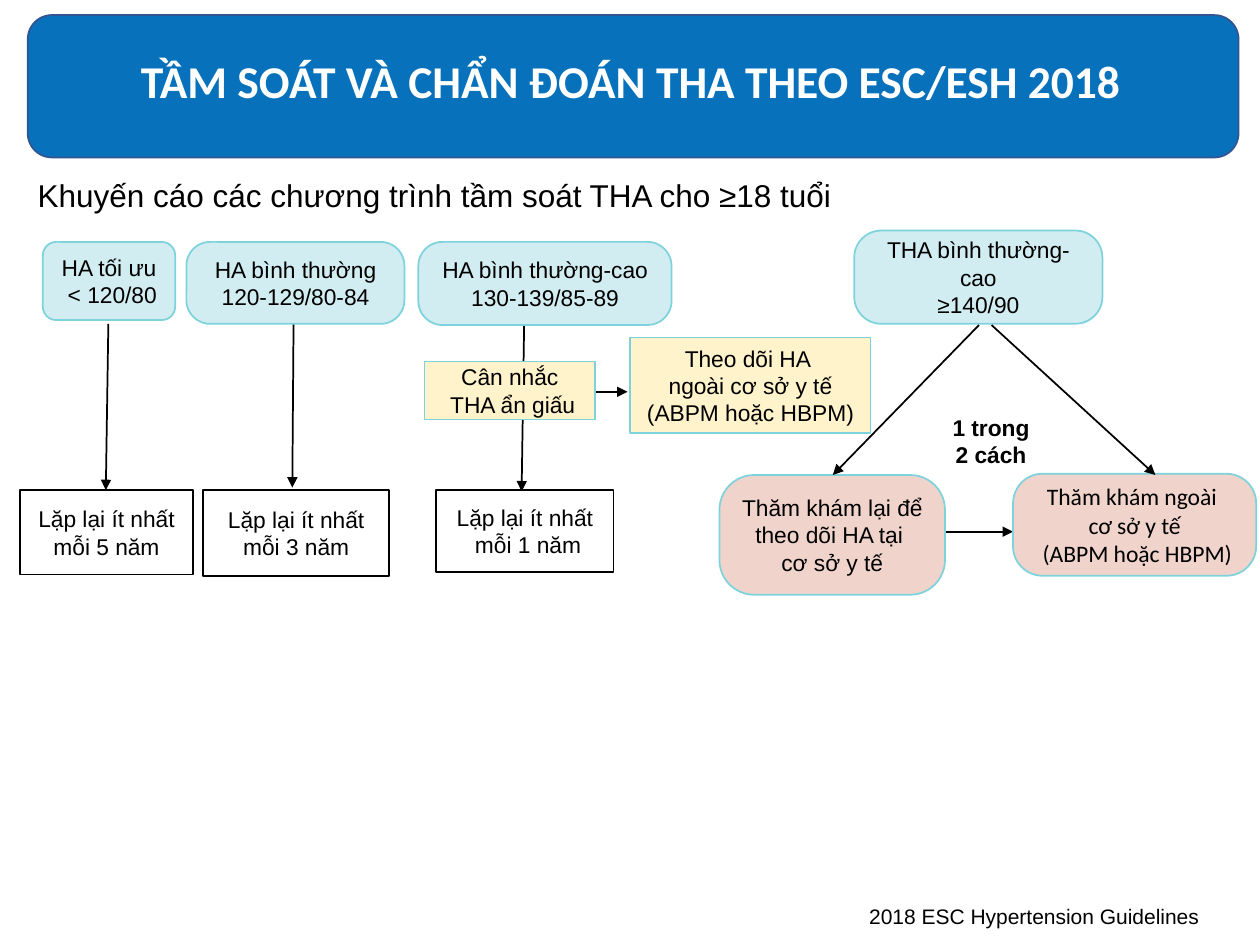
from pptx import Presentation
from pptx.util import Inches, Pt
from pptx.dml.color import RGBColor
from pptx.enum.shapes import MSO_CONNECTOR, MSO_SHAPE
from pptx.enum.text import MSO_ANCHOR, PP_ALIGN
from pptx.oxml.ns import qn
from lxml import etree

STRAIGHT = MSO_CONNECTOR.STRAIGHT
ROUND = MSO_SHAPE.ROUNDED_RECTANGLE
RECT = MSO_SHAPE.RECTANGLE
MIDDLE = MSO_ANCHOR.MIDDLE
TOP = MSO_ANCHOR.TOP
CENTER = PP_ALIGN.CENTER
LEFT = PP_ALIGN.LEFT

COLORS = {
    "black": "000000", "white": "FFFFFF", "aqua": "D2EDF1", "teal": "7ED2DC",
    "cream": "FFF3CB", "rose": "F0D4CC", "blue": "0772BB", "navy": "325491",
}
CURVE = 0.29


def color(name):
    return RGBColor.from_string(COLORS[name])


def write(shape, lines, size=13, font="Arial", ink="black", bold=False,
          align=CENTER, anchor=MIDDLE, space=None):
    frame = shape.text_frame
    frame.word_wrap = True
    frame.vertical_anchor = anchor
    for i, line in enumerate(lines):
        para = frame.paragraphs[0] if i == 0 else frame.add_paragraph()
        para.alignment = align
        if space:
            para.line_spacing = space
        run = para.add_run()
        run.text = line
        run.font.size = Pt(size)
        run.font.name = font
        run.font.bold = bold
        run.font.color.rgb = color(ink)


def add_box(slide, place, lines, fill, edge=None, curve=0, **style):
    kind = ROUND if curve else RECT
    shape = slide.shapes.add_shape(kind, *map(Inches, place))
    shape.shadow.inherit = False
    if curve:
        shape.adjustments[0] = curve
    shape.fill.solid()
    shape.fill.fore_color.rgb = color(fill)
    if edge:
        shape.line.color.rgb = color(edge)
        shape.line.width = Pt(1)
    else:
        shape.line.fill.background()
    write(shape, lines, **style)
    return shape


def add_label(slide, place, text, **style):
    label = slide.shapes.add_textbox(*map(Inches, place))
    write(label, [text], **style)


def add_arrow(slide, *ends):
    arrow = slide.shapes.add_connector(STRAIGHT, *map(Inches, ends))
    arrow.line.color.rgb = color("black")
    arrow.line.width = Pt(1)
    line = arrow.line._get_or_add_ln()
    etree.SubElement(line, qn("a:tailEnd"), type="triangle")
    etree.SubElement(arrow._element.spPr, qn("a:effectLst"))


def add_steps(slide):
    for ends in [
        (7.33, 4.22, 8.04, 4.22),
        (4.67, 3.11, 4.98, 3.11),
        (0.86, 2.57, 0.84, 3.89),
        (2.33, 2.54, 2.32, 3.87),
        (4.16, 2.57, 4.14, 3.9),
    ]:
        add_arrow(slide, *ends)

    for place, lines, curve in [
        ((0.34, 1.92, 1.05, 0.62), ["HA tối ưu", " < 120/80"], 0.17),
        ((1.48, 1.92, 1.73, 0.65), ["HA bình thường", "120-129/80-84"], CURVE),
        ((3.32, 1.92, 2.01, 0.66), ["HA bình thường-cao", "130-139/85-89"], CURVE),
        ((6.78, 1.83, 1.97, 0.74), ["THA bình thường-cao", "≥140/90"], CURVE),
    ]:
        add_box(slide, place, lines, "aqua", "teal", curve)

    for place, lines in [
        ((0.16, 3.89, 1.37, 0.67), ["Lặp lại ít nhất mỗi 5 năm"]),
        ((1.61, 3.89, 1.48, 0.68), ["Lặp lại ít nhất mỗi 3 năm"]),
        ((3.46, 3.89, 1.41, 0.65), ["Lặp lại ít nhất", " mỗi 1 năm"]),
    ]:
        add_box(slide, place, lines, "white", "black")

    for place, lines in [
        ((3.37, 2.87, 1.35, 0.46), ["Cân nhắc", " THA ẩn giấu"]),
        ((5, 2.68, 1.91, 0.76),
         ["Theo dõi HA ", "ngoài cơ sở y tế", "(ABPM hoặc HBPM)"]),
    ]:
        add_box(slide, place, lines, "cream", "teal")


def add_visits(slide):
    add_box(slide, (5.71, 3.77, 1.79, 0.95),
            ["Thăm khám lại để theo dõi HA tại ", "cơ sở y tế"],
            "rose", "teal", CURVE)
    home = add_box(slide, (8.04, 3.76, 1.93, 0.81),
                   ["Thăm khám ngoài ", "cơ sở y tế", " (ABPM hoặc HBPM)"],
                   "rose", "teal", CURVE, size=13.5, font="Calibri")
    frame = home.text_frame
    frame.margin_left = frame.margin_right = Inches(0.07)
    frame.margin_top = frame.margin_bottom = Inches(0.04)
    add_arrow(slide, 7.87, 2.58, 9.17, 3.77)
    add_arrow(slide, 7.77, 2.58, 6.61, 3.77)
    add_box(slide, (7.45, 3.29, 0.83, 0.42), ["1 trong 2 cách"],
            "white", bold=True)


def main():
    deck = Presentation()
    deck.slide_width, deck.slide_height = Inches(10), Inches(7.5)
    slide = deck.slides.add_slide(deck.slide_layouts[6])

    add_label(slide, (0.2, 1.35, 6.98, 0.4),
              "Khuyến cáo các chương trình tầm soát THA cho ≥18 tuổi",
              size=18, align=LEFT, anchor=TOP)
    add_steps(slide)
    add_visits(slide)
    add_box(slide, (0.22, 0.12, 9.61, 1.13), [], "blue", "navy", 0.17)
    add_label(slide, (0.22, 0.1, 9.58, 1.13),
              "TẦM SOÁT VÀ CHẨN ĐOÁN THA THEO ESC/ESH 2018",
              size=26, font="Calibri", ink="white", bold=True, space=0.9)
    add_label(slide, (6.8, 7.12, 4.8, 0.3), "2018 ESC Hypertension Guidelines",
              size=12, align=LEFT, anchor=TOP)
    deck.save("out.pptx")


if __name__ == "__main__":
    main()
